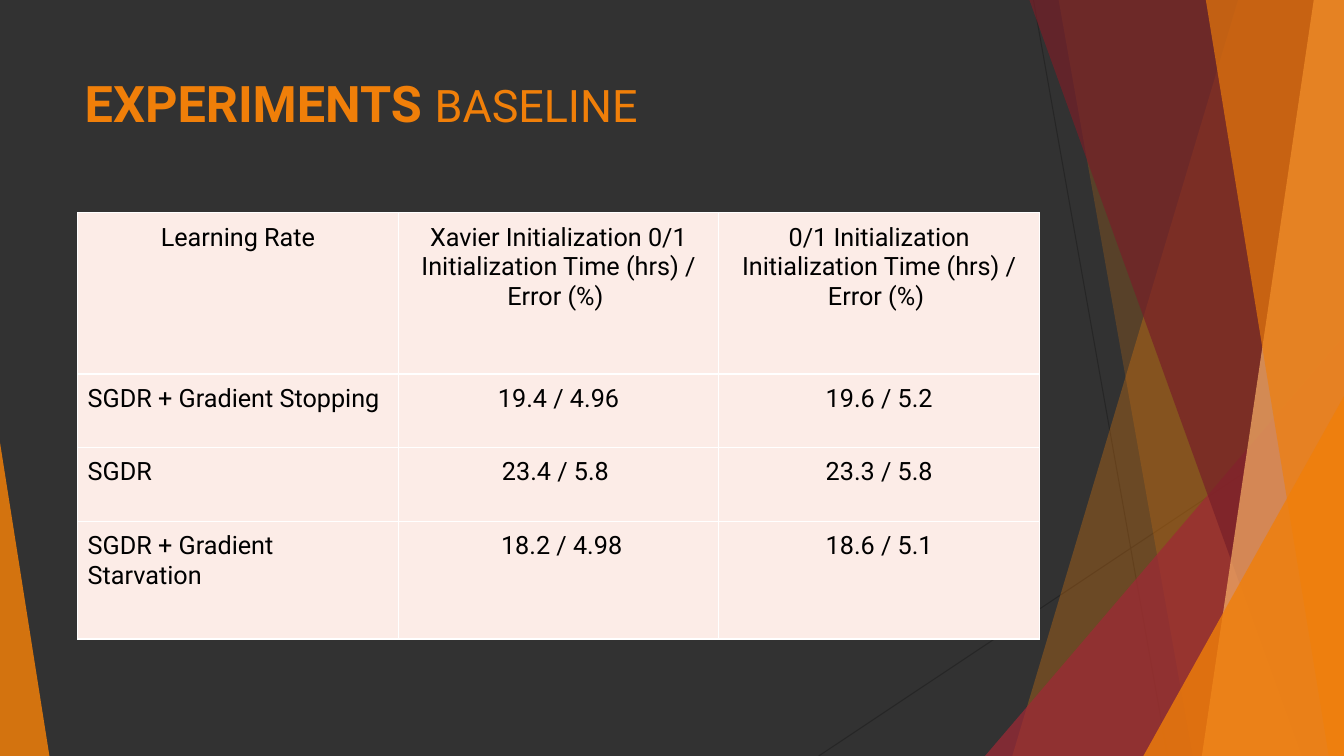
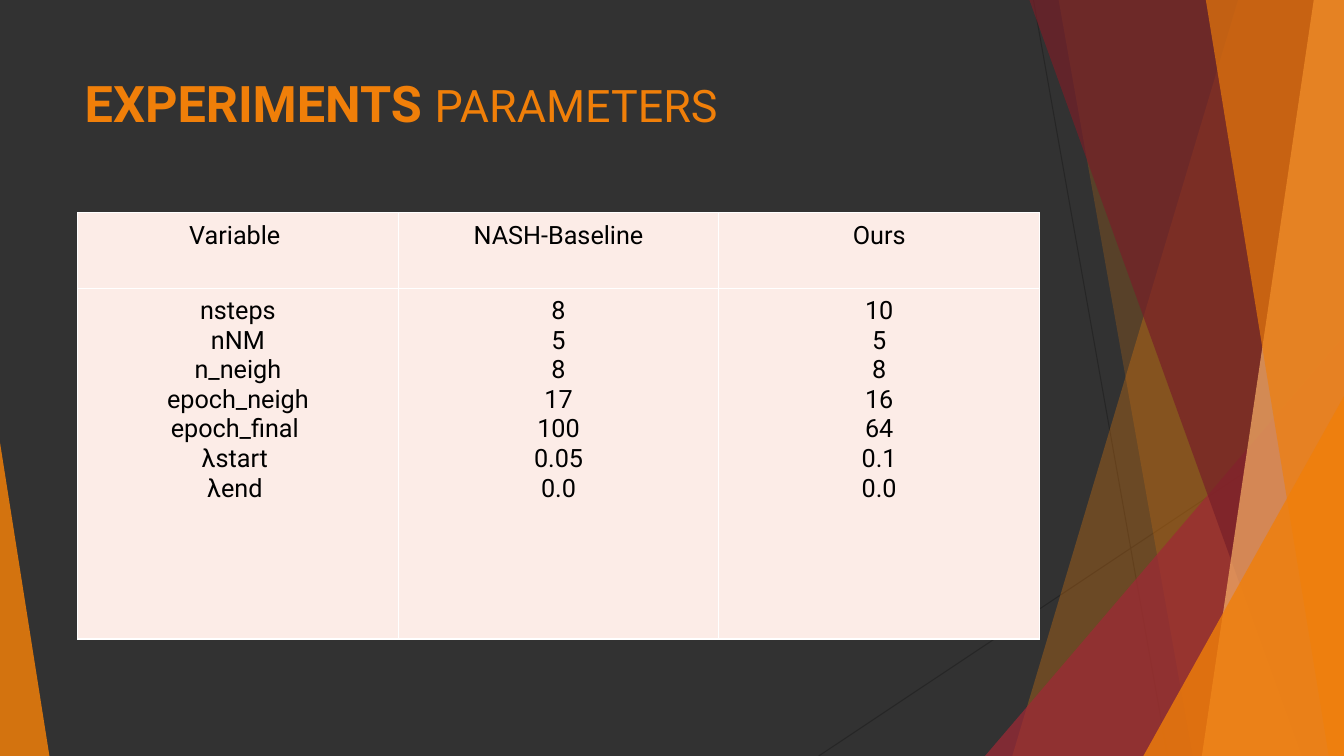
import pptx
import pptx.util
import pptx.dml.color
import pptx.enum.shapes
import pptx.enum.text
import pptx.oxml
import pptx.oxml.ns
import lxml.etree

Inches = pptx.util.Inches
Pt = pptx.util.Pt
RGBColor = pptx.dml.color.RGBColor
ALIGN = pptx.enum.text.PP_ALIGN
qn = pptx.oxml.ns.qn

CHARCOAL = RGBColor(0x32, 0x32, 0x32)
HAIRLINE = RGBColor(0x26, 0x26, 0x26)
ORANGE = RGBColor(0xF0, 0x7F, 0x09)
PEACH = RGBColor(0xF9, 0xB2, 0x68)
CRIMSON = RGBColor(0x9F, 0x29, 0x36)
MAROON = RGBColor(0x77, 0x1F, 0x28)
BLUSH = RGBColor(0xFC, 0xEC, 0xE7)
WHITE = RGBColor(0xFF, 0xFF, 0xFF)
BLACK = RGBColor(0, 0, 0)
FONT = "Roboto"

WIDTH, HEIGHT = 13.33, 7.5
TITLE_BOX = (0.74, 0.67, 11.04, 1.44)
TABLE_LEFT, TABLE_TOP, COLUMN_WIDTH = 0.77, 2.11, 3.18

HAIRLINES = [(10.25, 0, 11.58, HEIGHT), (WIDTH, 4.03, 8.12, HEIGHT)]
# fmt: off
FACETS = [
    ("band", (12.28, 10.04), ORANGE, 30),
    ("band", (10.5, 11.83), ORANGE, 20),
    ("triangle", (9.77, 3.33, 3.56, 1), CRIMSON, 72),
    ("band", (10.21, 12.91), MAROON, 70),
    ("band", (13.03, 11.92), PEACH, 70),
    ("band", (11.96, 13.18), ORANGE, 65),
    ("triangle", (11.34, 3.93, 1.99, 1), ORANGE, 80),
    ("triangle", (0, 4.39, 0.49, 0), ORANGE, 85),
]
# fmt: on

SLIDES = [
    {
        "topic": "BASELINE",
        "inset": 0.1,
        "row_heights": [1.6, 0.73, 0.73, 1.17],
        "label_align": ALIGN.LEFT,
        "rows": [
            ("Learning Rate",
             "Xavier Initialization 0/1 Initialization Time (hrs) / Error (%) ",
             "0/1 Initialization\nInitialization Time (hrs) / Error (%) "),
            ("SGDR + Gradient Stopping", "19.4 / 4.96", "19.6 / 5.2"),
            ("SGDR", "23.4 / 5.8 ", "23.3 / 5.8"),
            ("SGDR + Gradient Starvation", " 18.2 / 4.98", "18.6 / 5.1"),
        ],
    },
    {
        "topic": "PARAMETERS",
        "inset": 0.08,
        "row_heights": [0.75, 3.48],
        "label_align": ALIGN.CENTER,
        "rows": [
            ("Variable ", "NASH-Baseline", "Ours"),
            ("nsteps\n nNM \nn_neigh\nepoch_neigh\nepoch_final \nλstart \nλend ",
             "8\n5\n8\n17\n100\n0.05\n0.0",
             "10\n5\n8\n16\n64\n0.1\n0.0"),
        ],
    },
]


def draw_hairline(shapes, ends):
    line = shapes.add_connector(
        pptx.enum.shapes.MSO_CONNECTOR.STRAIGHT, *map(Inches, ends))
    line.line.color.rgb = HAIRLINE
    line.line.width = Pt(0.75)
    lxml.etree.SubElement(line.element.spPr, qn("a:effectLst"))
    return line


def draw_facet(shapes, kind, geometry, color, opacity):
    if kind == "band":
        top_x, bottom_x = geometry
        corners = [(WIDTH, 0), (WIDTH, HEIGHT), (bottom_x, HEIGHT)]
        builder = shapes.build_freeform(Inches(top_x), 0)
        builder.add_line_segments(
            [(Inches(x), Inches(y)) for x, y in corners], close=True)
        shape = builder.convert_to_shape()
    else:
        left, top, width, apex = geometry
        shape = shapes.add_shape(
            pptx.enum.shapes.MSO_SHAPE.ISOSCELES_TRIANGLE,
            *map(Inches, (left, top, width, HEIGHT - top)))
        shape.adjustments[0] = apex
    shape.shadow.inherit = False
    shape.line.fill.background()
    shape.fill.solid()
    shape.fill.fore_color.rgb = color
    color_element = shape.element.spPr.find(qn("a:solidFill"))[0]
    lxml.etree.SubElement(color_element, qn("a:alpha"), val=str(opacity * 1000))
    return shape


def place_title(shape):
    shape.left, shape.top, shape.width, shape.height = map(Inches, TITLE_BOX)


def decorate_layout(layout, slide):
    place_title(layout.placeholders[0])
    decorations = [draw_hairline(slide.shapes, ends) for ends in HAIRLINES]
    decorations += [draw_facet(slide.shapes, *facet) for facet in FACETS]
    tree = layout.shapes.element
    for number, shape in enumerate(decorations):
        shape.element.xpath(".//p:cNvPr")[0].set("id", str(100 + number))
        tree.insert(2 + number, shape.element)


def write_title(slide, topic):
    title = slide.shapes.title
    frame = title.text_frame
    frame.vertical_anchor = pptx.enum.text.MSO_ANCHOR.TOP
    frame.auto_size = pptx.enum.text.MSO_AUTO_SIZE.NONE
    paragraph = frame.paragraphs[0]
    paragraph.alignment = ALIGN.LEFT
    paragraph.font.name = FONT
    paragraph.font.color.rgb = ORANGE
    for text, size, bold in (("EXPERIMENTS ", 36, True), (topic, 32, False)):
        run = paragraph.add_run()
        run.text = text
        run.font.size = Pt(size)
        run.font.bold = bold


def format_cell(cell, text, alignment, inset):
    cell.text = text
    cell.margin_left = cell.margin_right = Inches(inset)
    cell.margin_top = cell.margin_bottom = Inches(inset)
    for paragraph in cell.text_frame.paragraphs:
        paragraph.alignment = alignment
        paragraph.font.name = FONT
        paragraph.font.size = Pt(18)
        paragraph.font.color.rgb = BLACK
    properties = cell._tc.get_or_add_tcPr()
    for side in ("lnL", "lnR", "lnT", "lnB"):
        border = lxml.etree.SubElement(properties, qn("a:" + side), w=str(Pt(1)))
        fill = lxml.etree.SubElement(border, qn("a:solidFill"))
        lxml.etree.SubElement(fill, qn("a:srgbClr"), val=str(WHITE))
    cell.fill.solid()
    cell.fill.fore_color.rgb = BLUSH


def add_results_table(slide, content):
    rows, heights = content["rows"], content["row_heights"]
    columns = len(rows[0])
    table = slide.shapes.add_table(
        len(rows), columns, Inches(TABLE_LEFT), Inches(TABLE_TOP),
        Inches(COLUMN_WIDTH * columns), Inches(sum(heights))).table
    table.first_row = table.horz_banding = False
    for column in table.columns:
        column.width = Inches(COLUMN_WIDTH)
    for row_index, (texts, height) in enumerate(zip(rows, heights)):
        table.rows[row_index].height = Inches(height)
        for column_index, text in enumerate(texts):
            is_label = row_index > 0 and column_index == 0
            alignment = content["label_align"] if is_label else ALIGN.CENTER
            format_cell(table.cell(row_index, column_index), text,
                        alignment, content["inset"])


def main():
    presentation = pptx.Presentation()
    presentation.slide_width = Inches(WIDTH)
    presentation.slide_height = Inches(HEIGHT)
    background = presentation.slide_master.background.fill
    background.solid()
    background.fore_color.rgb = CHARCOAL
    layout = presentation.slide_layouts.get_by_name("Title Only")
    slides = [presentation.slides.add_slide(layout) for _ in SLIDES]
    decorate_layout(layout, slides[0])
    for slide, content in zip(slides, SLIDES):
        write_title(slide, content["topic"])
        add_results_table(slide, content)
    presentation.save("out.pptx")


if __name__ == "__main__":
    main()
